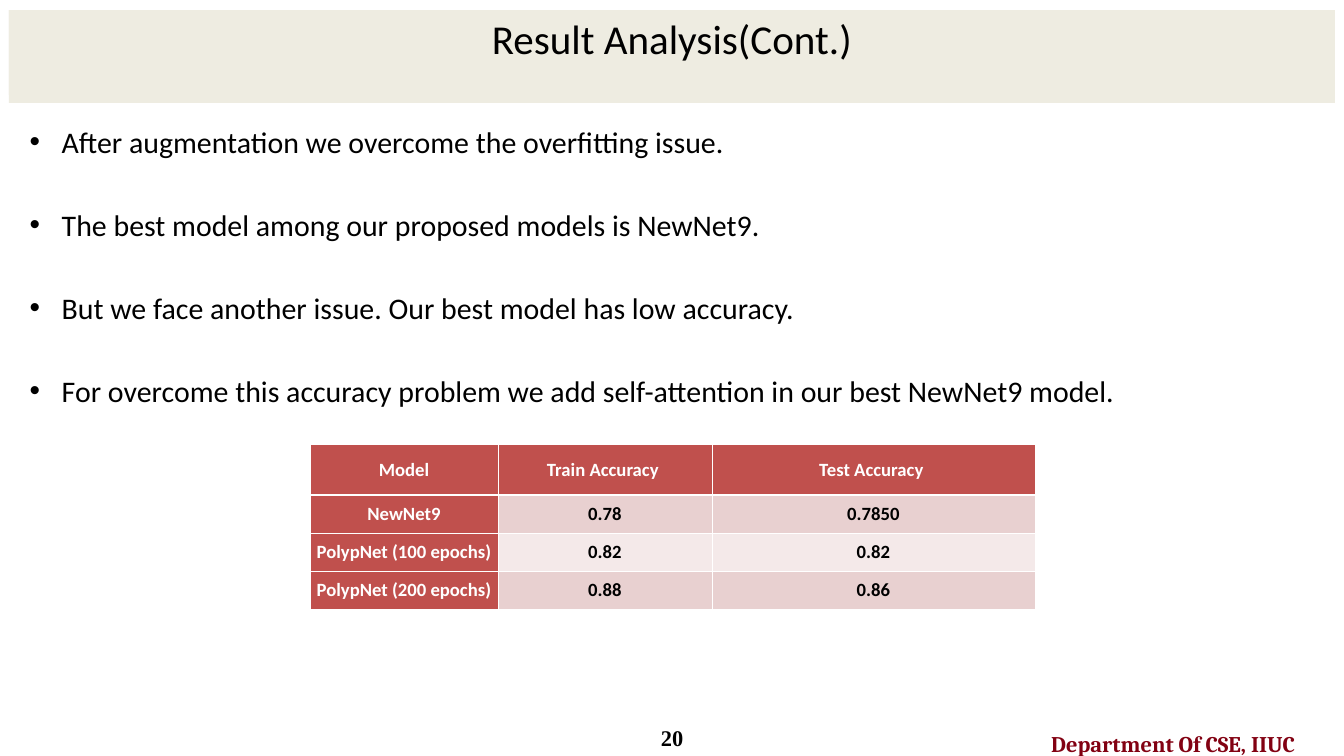
import lxml.etree
import pptx
import pptx.dml.color
import pptx.enum.shapes
import pptx.enum.text
import pptx.oxml.ns
import pptx.util

EMU_PER_PX = 914400 / 67.2
CENTER = pptx.enum.text.PP_ALIGN.CENTER
MIDDLE = pptx.enum.text.MSO_ANCHOR.MIDDLE
BLACK, WHITE, CREAM = "000000", "FFFFFF", "EEECE1"
MAROON, RED = "820112", "C0504D"
ROW_TINTS = ["E8D0D0", "F4E9E9"]

POINTS = [
    "After augmentation we overcome the overfitting issue.",
    "The best model among our proposed models is NewNet9.",
    "But we face another issue. Our best model has low accuracy.",
    "For overcome this accuracy problem we add self-attention in our best NewNet9 model.",
]
ACCURACIES = [
    ["Model", "Train Accuracy ", "Test Accuracy "],
    ["NewNet9", "0.78", "0.7850"],
    ["PolypNet (100 epochs)", "0.82", "0.82"],
    ["PolypNet (200 epochs)", "0.88", "0.86"],
]
COLUMN_WIDTHS = [188, 214, 323]
ROW_HEIGHTS = [51, 38, 38, 38]


def px(length):
    return pptx.util.Emu(round(length * EMU_PER_PX))


def paint(fill, color):
    fill.solid()
    fill.fore_color.rgb = pptx.dml.color.RGBColor.from_string(color)


def place(shape, left, top, width, height):
    shape.left, shape.top = px(left), px(top)
    shape.width, shape.height = px(width), px(height)


def format_text(paragraph, size, color, font="Calibri", bold=False, align=CENTER):
    paragraph.alignment = align
    for run in paragraph.runs:
        run.font.name = font
        run.font.size = pptx.util.Pt(size)
        run.font.bold = bold
        paint(run.font.fill, color)


def add_title(slide, text):
    title = slide.shapes.title
    place(title, 9, 10, 1326, 85)
    paint(title.fill, CREAM)
    frame = title.text_frame
    frame.text = text
    frame.auto_size = pptx.enum.text.MSO_AUTO_SIZE.NONE
    frame.vertical_anchor = pptx.enum.text.MSO_ANCHOR.TOP
    format_text(frame.paragraphs[0], 44, BLACK)

    band = slide.shapes.add_shape(
        pptx.enum.shapes.MSO_SHAPE.RECTANGLE, px(9), px(10), px(1326), px(93))
    band.shadow.inherit = False
    paint(band.fill, CREAM)
    band.line.fill.background()
    title.element.addprevious(band.element)


def add_bullets(slide, points):
    body = slide.placeholders[1]
    place(body, 21, 120, 1302, 345)
    frame = body.text_frame
    frame.text = "\n".join(points)
    frame.auto_size = pptx.enum.text.MSO_AUTO_SIZE.NONE
    for index, paragraph in enumerate(frame.paragraphs):
        format_text(paragraph, 32, BLACK, align=pptx.enum.text.PP_ALIGN.LEFT)
        paragraph.space_before = pptx.util.Pt(50.6 if index else 0)
        properties = paragraph._p.get_or_add_pPr()
        properties.set("marL", str(px(34)))
        properties.set("indent", str(px(-32)))
        bullet = lxml.etree.SubElement(properties, pptx.oxml.ns.qn("a:buChar"))
        bullet.set("char", "•")


def add_label(slide, text, box, color, font):
    label = slide.shapes.add_textbox(*map(px, box))
    frame = label.text_frame
    frame.word_wrap = True
    frame.text = text
    format_text(frame.paragraphs[0], 24, color, font, bold=True)
    return frame


def add_border(cell, side, points):
    line = lxml.etree.SubElement(
        cell._tc.get_or_add_tcPr(), pptx.oxml.ns.qn(f"a:ln{side}"))
    line.set("w", str(pptx.util.Pt(points)))
    solid = lxml.etree.SubElement(line, pptx.oxml.ns.qn("a:solidFill"))
    lxml.etree.SubElement(solid, pptx.oxml.ns.qn("a:srgbClr")).set("val", WHITE)


def format_cell(cell, row, column):
    is_heading = row == 0 or column == 0
    cell.vertical_anchor = MIDDLE
    cell.margin_left = cell.margin_top = cell.margin_right = px(1)
    cell.margin_bottom = 0
    format_text(cell.text_frame.paragraphs[0], 20,
                WHITE if is_heading else BLACK, bold=True)
    add_border(cell, "L", 1)
    add_border(cell, "R", 1)
    add_border(cell, "T", 3 if row == 1 else 1)
    add_border(cell, "B", 3 if row == 0 else 1)
    paint(cell.fill, RED if is_heading else ROW_TINTS[(row - 1) % 2])


def add_accuracy_table(slide):
    table = slide.shapes.add_table(
        len(ROW_HEIGHTS), len(COLUMN_WIDTHS), px(310), px(444),
        px(sum(COLUMN_WIDTHS)), px(sum(ROW_HEIGHTS))).table
    for column, width in zip(table.columns, COLUMN_WIDTHS):
        column.width = px(width)
    for row, height in zip(table.rows, ROW_HEIGHTS):
        row.height = px(height)
    for row, values in enumerate(ACCURACIES):
        for column, value in enumerate(values):
            cell = table.cell(row, column)
            cell.text = value
            format_cell(cell, row, column)


def main():
    deck = pptx.Presentation()
    deck.slide_width, deck.slide_height = px(1344), px(756)
    slide = deck.slides.add_slide(deck.slide_layouts[1])

    add_title(slide, "Result Analysis(Cont.)")
    add_bullets(slide, POINTS)
    add_accuracy_table(slide)

    page_number = add_label(slide, "20", (630, 723, 84, 29), BLACK, "Times New Roman")
    page_number.vertical_anchor = MIDDLE

    department = add_label(
        slide, "Department Of CSE, IIUC", (1023, 719, 300, 38), MAROON, "Cambria")
    department.margin_left = department.margin_right = 0
    department.margin_top = department.margin_bottom = 0
    department.paragraphs[0].line_spacing = 1.4

    deck.save("out.pptx")


if __name__ == "__main__":
    main()
